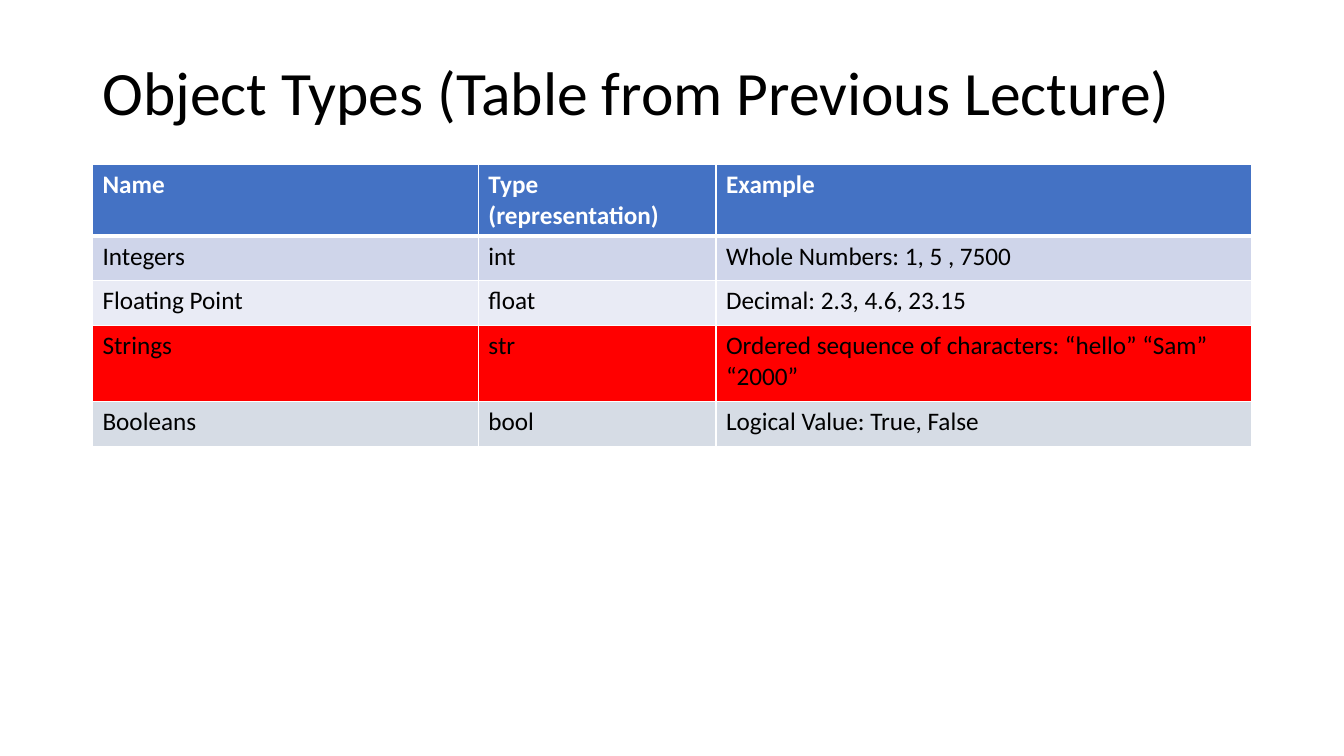
import dataclasses

import lxml.etree
import pptx
import pptx.dml.color
import pptx.enum.text
import pptx.oxml.ns
import pptx.util

Cm = pptx.util.Cm
Pt = pptx.util.Pt
qn = pptx.oxml.ns.qn


@dataclasses.dataclass(frozen=True)
class Theme:
    font: str = "Calibri"
    title_size: int = 44
    table_size: int = 18
    text: str = "000000"
    white: str = "FFFFFF"
    header: str = "4472C4"
    band_dark: str = "CFD5EA"
    band_light: str = "E9EBF5"
    highlight: str = "FF0000"
    grey: str = "D6DCE5"


T = Theme()
HEADINGS = ("Name", "Type (representation)", "Example")
# Row fill, row height in cm, cell texts
ROWS = [
    (T.header, 1.12, HEADINGS),
    (T.band_dark, 1.12, ("Integers", "int", "Whole Numbers: 1, 5 , 7500")),
    (T.band_light, 1.12, ("Floating Point", "float", "Decimal: 2.3, 4.6, 23.15")),
    (T.highlight, 1.93,
     ("Strings", "str", "Ordered sequence of characters: “hello” “Sam” “2000”")),
    (T.grey, 1.12, ("Booleans", "bool", "Logical Value: True, False")),
]
COLUMN_SHARES = (0.333, 0.205, 0.462)


def add_run(p, text, size, color, bold=False):
    r = p.add_run()
    r.text = text
    r.font.name = T.font
    r.font.size = Pt(size)
    r.font.bold = bold
    r.font.color.rgb = pptx.dml.color.RGBColor.from_string(color)


def set_borders(cell, widths):
    tc_pr = cell._tc.get_or_add_tcPr()
    for side, width in widths.items():
        ln = lxml.etree.SubElement(tc_pr, qn(f"a:ln{side}"), w=str(Pt(width)))
        fill = lxml.etree.SubElement(ln, qn("a:solidFill"))
        lxml.etree.SubElement(fill, qn("a:srgbClr"), val=T.white)


def place_title(s, text, left, top, width, height):
    sp = s.shapes.title
    sp.left, sp.top, sp.width, sp.height = left, top, width, height
    tf = sp.text_frame
    tf.word_wrap = True
    tf.auto_size = pptx.enum.text.MSO_AUTO_SIZE.NONE
    tf.vertical_anchor = pptx.enum.text.MSO_ANCHOR.MIDDLE
    p = tf.paragraphs[0]
    p.alignment = pptx.enum.text.PP_ALIGN.LEFT
    p.line_spacing = 0.9
    add_run(p, text, T.title_size, T.text)


def place_table(s, left, top, width):
    height = Cm(sum(row[1] for row in ROWS))
    table = s.shapes.add_table(
        len(ROWS), len(HEADINGS), left, top, width, height).table
    for column, share in zip(table.columns, COLUMN_SHARES):
        column.width = int(width * share)
    for i, (fill, row_height, texts) in enumerate(ROWS):
        table.rows[i].height = Cm(row_height)
        is_header = i == 0
        for j, text in enumerate(texts):
            cell = table.cell(i, j)
            # The rule under the header is heavier
            set_borders(cell, {"L": 1, "R": 1, "T": 3 if i == 1 else 1,
                               "B": 3 if is_header else 1})
            cell.fill.solid()
            cell.fill.fore_color.rgb = pptx.dml.color.RGBColor.from_string(fill)
            add_run(cell.text_frame.paragraphs[0], text, T.table_size,
                    T.white if is_header else T.text, is_header)


def main():
    prs = pptx.Presentation()
    prs.slide_width, prs.slide_height = Cm(33.87), Cm(19.05)
    s = prs.slides.add_slide(prs.slide_layouts[5])
    left, width = Cm(2.33), Cm(29.21)
    place_title(s, "Object Types (Table from Previous Lecture)",
                left, Cm(1.01), width, Cm(2.77))
    place_table(s, left, Cm(4.15), width)
    prs.save("out.pptx")


if __name__ == "__main__":
    main()
